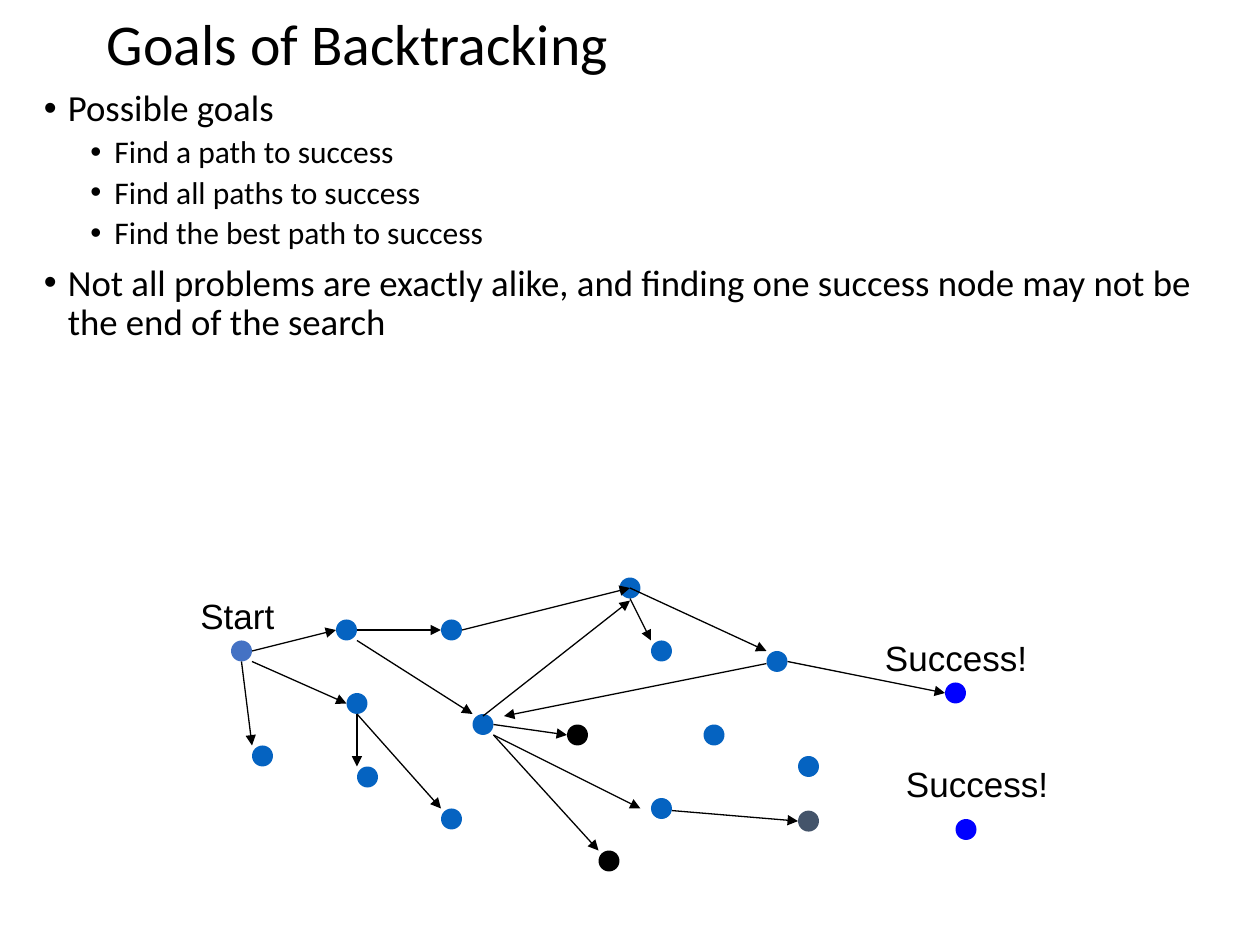
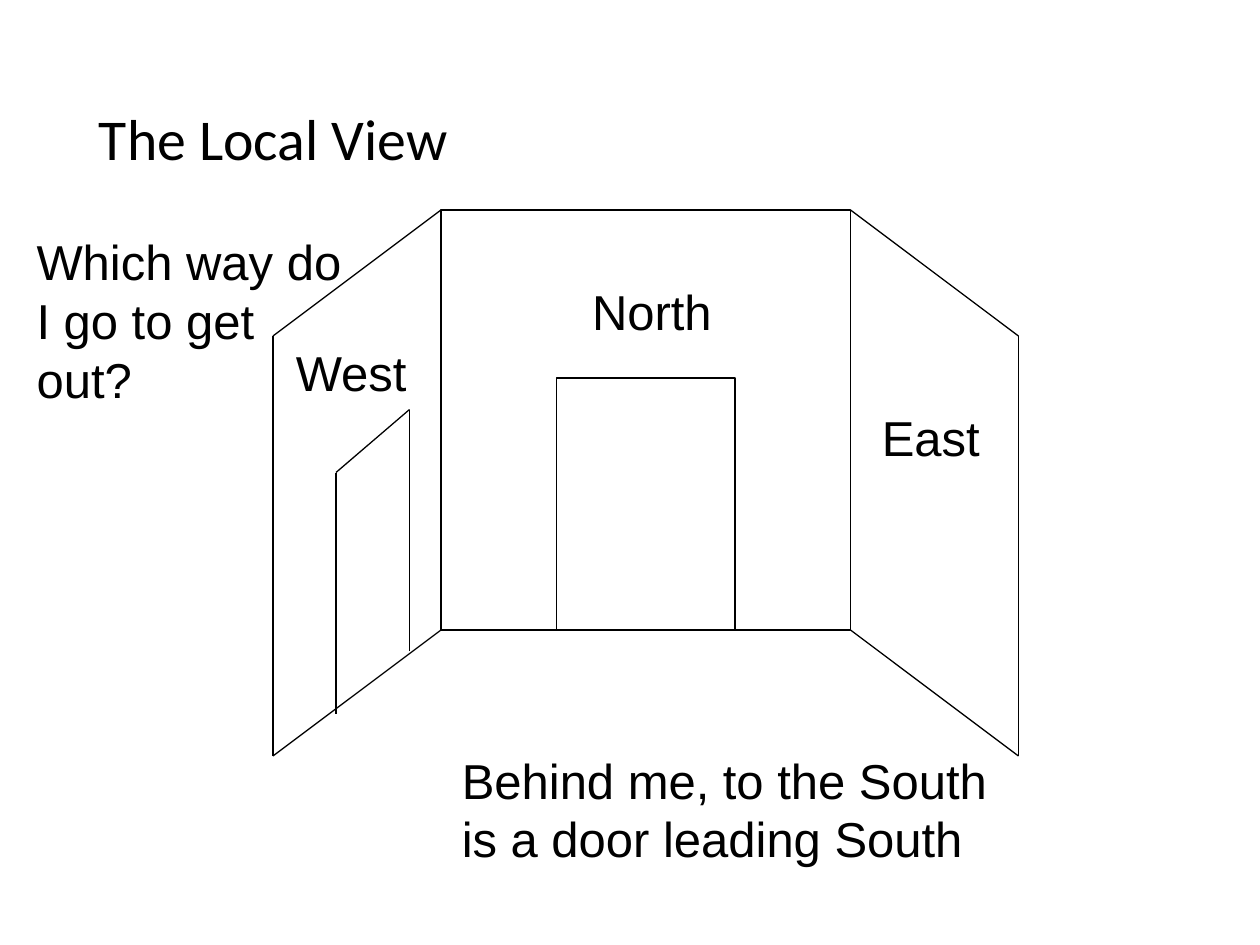
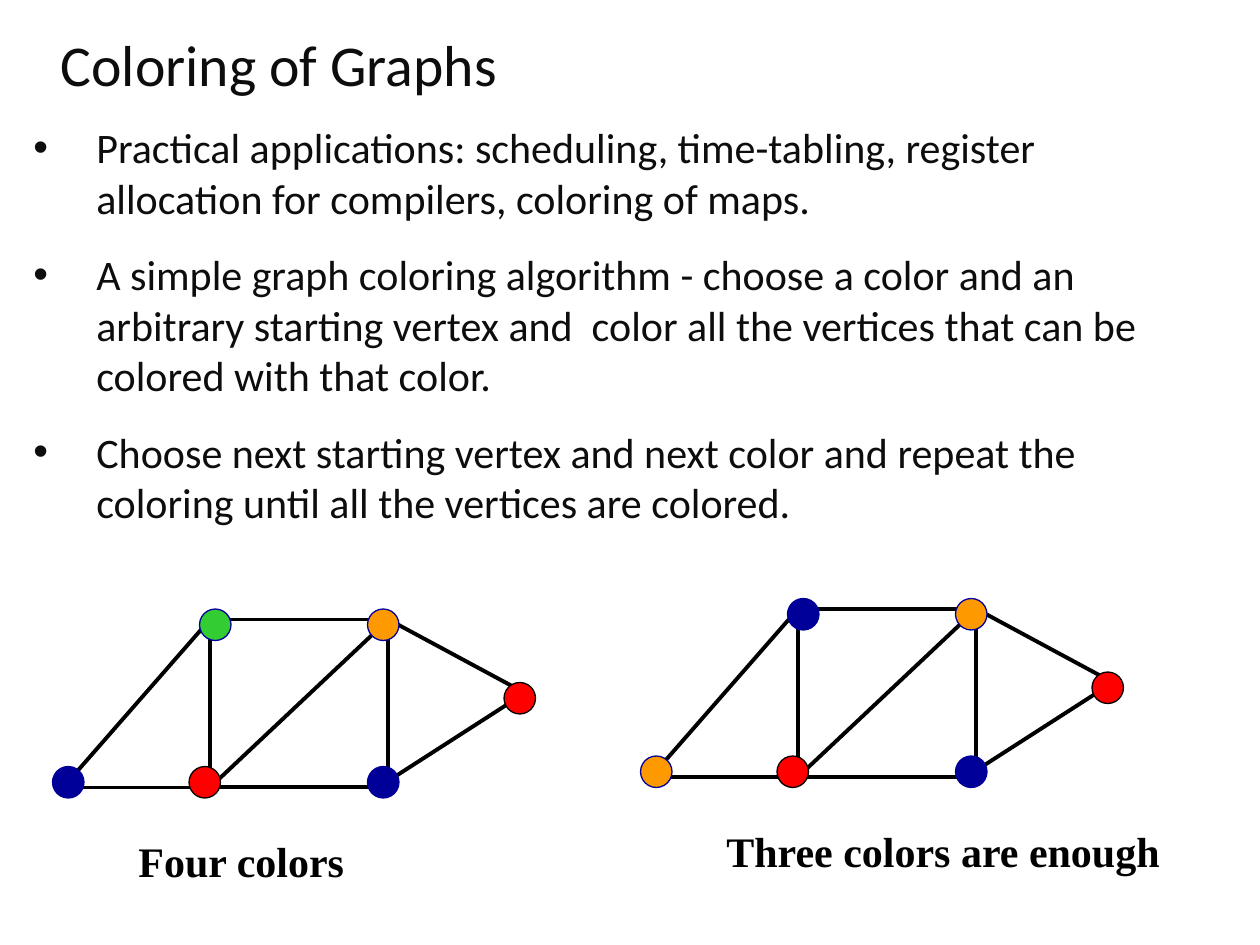
from dataclasses import dataclass
from itertools import pairwise
from typing import NamedTuple

from lxml import etree
from pptx import Presentation
from pptx import util as u
from pptx.dml.color import RGBColor
from pptx.enum import shapes, text
from pptx.oxml import ns

CELL = u.Inches(1) / 12
COLUMNS, ROWS = 120, 90

BLACK = "000000"
INK = "0D0D0D"
START = "4472C4"
NODE = "0563C1"
SLATE = "44546A"
SUCCESS = "0000FF"
RED = "FF0000"
NAVY = "000099"
GREEN = "33CC33"
ORANGE = "FF9900"


class Point(NamedTuple):
    column: float
    row: float


class Frame(NamedTuple):
    column: float
    row: float
    columns: float
    rows: float


@dataclass(frozen=True)
class TextStyle:
    font: str
    size: float
    color: str = BLACK
    bold: bool = False
    line_spacing: float | None = None
    space_before: float = 0
    hanging: float = 0
    indent: float = 0
    level: int = 0


@dataclass(frozen=True)
class Dot:
    column: float
    row: float
    fill: str = NODE
    line: str | None = None


@dataclass(frozen=True)
class Coloring:
    origin: Point
    fills: tuple[str, ...]
    caption: str
    caption_columns: float


TITLE = TextStyle("Calibri", 33, line_spacing=0.9)
INK_TITLE = TextStyle("Calibri", 33, INK, line_spacing=0.9)
GOAL = TextStyle("Calibri", 21, line_spacing=0.9, space_before=7.5, hanging=0.19, indent=0.19)
SUBGOAL = TextStyle("Calibri", 18, line_spacing=0.9, space_before=3.7, hanging=0.19, indent=0.56, level=1)
STEP = TextStyle("Calibri", 24, INK, space_before=15, hanging=0.5, indent=0.5)
NODE_LABEL = TextStyle("Arial", 20)
WALL_LABEL = TextStyle("Arial", 28)
CAPTION = TextStyle("Times New Roman", 24, bold=True)

SEARCH_DOTS = (
    Dot(22, 61, START), Dot(24, 71), Dot(33, 66), Dot(45, 68), Dot(42, 59),
    Dot(32, 59), Dot(34, 73), Dot(59, 55), Dot(62, 76), Dot(62, 61), Dot(67, 69),
    Dot(57, 81, BLACK), Dot(42, 77), Dot(54, 69, BLACK), Dot(76, 77.2, SLATE),
    Dot(90, 65, SUCCESS), Dot(76, 72), Dot(73, 62), Dot(91, 78, SUCCESS),
)
SEARCH_ARROWS = (
    (Point(24, 62), Point(32, 60)), (Point(24, 63), Point(33, 67)),
    (Point(23, 63), Point(24, 71)), (Point(34, 60), Point(42, 60)),
    (Point(34, 61), Point(45, 68)), (Point(34, 68), Point(34, 73)),
    (Point(34, 68), Point(42, 77)), (Point(47, 70), Point(61, 77)),
    (Point(47, 70), Point(57, 81)), (Point(64, 77.2), Point(76, 78.2)),
    (Point(47, 69), Point(54, 70)), (Point(44, 60), Point(60, 56)),
    (Point(60, 57), Point(62, 61)), (Point(60, 56), Point(73, 62)),
    (Point(75, 63), Point(90, 66)), (Point(46, 68.2), Point(60, 57.2)),
    (Point(73, 63.2), Point(48, 68.2)),
)
EAST_WALL = (Point(81, 20), Point(97, 32), Point(97, 72), Point(81, 60))
WEST_WALL = (Point(42, 20), Point(26, 32), Point(26, 72), Point(42, 60))
WEST_DOOR = (Point(32, 68), Point(32, 45), Point(39, 39), Point(39, 62))

VERTICES = (Point(13, 15), Point(43, 7), Point(30, 15), Point(0, 15), Point(14, 0), Point(30, 0))
EDGE_CHAINS = (
    (Point(15, 17), Point(32, 1), Point(45, 8), Point(31, 17)),
    (Point(15, 17), Point(1, 17), Point(15, 1)),
)
COLORINGS = (
    Coloring(Point(5, 58), (RED, RED, NAVY, NAVY, GREEN, ORANGE), "Four colors", 22),
    Coloring(Point(61, 57), (RED, RED, NAVY, ORANGE, NAVY, ORANGE), "Three colors are enough", 43.8),
)


def rgb(value: str) -> RGBColor:
    return RGBColor.from_string(value)


def cells(*counts: float) -> list[int]:
    return [round(count * CELL) for count in counts]


def style_paragraph(para, style: TextStyle) -> None:
    font = para.font
    font.name, font.size, font.bold = style.font, u.Pt(style.size), style.bold
    font.color.rgb = rgb(style.color)
    para.level = style.level
    para.space_before = u.Pt(style.space_before)
    if style.line_spacing:
        para.line_spacing = style.line_spacing
    if style.hanging:
        properties = para._p.get_or_add_pPr()
        properties.set("marL", str(u.Inches(style.indent)))
        properties.set("indent", str(-u.Inches(style.hanging)))
        bullet_color = etree.SubElement(properties, ns.qn("a:buClr"))
        etree.SubElement(bullet_color, ns.qn("a:srgbClr"), val=style.color)
        etree.SubElement(properties, ns.qn("a:buFont"), typeface="Arial")
        etree.SubElement(properties, ns.qn("a:buChar"), char="•")


def add_text(page, frame: Frame, words: str, *styles: TextStyle, wrap: bool = True, middle: bool = False) -> None:
    box = page.shapes.add_textbox(*cells(*frame))
    body = box.text_frame
    body.text = words
    body.word_wrap = wrap
    body.auto_size = text.MSO_AUTO_SIZE.NONE if wrap else text.MSO_AUTO_SIZE.SHAPE_TO_FIT_TEXT
    body.vertical_anchor = text.MSO_ANCHOR.MIDDLE if middle else text.MSO_ANCHOR.TOP
    for index, para in enumerate(body.paragraphs):
        style_paragraph(para, styles[index % len(styles)])


def add_title(page, frame: Frame, words: str, style: TextStyle = TITLE) -> None:
    add_text(page, frame, words, style, middle=True)


def add_label(page, frame: Frame, words: str, style: TextStyle) -> None:
    add_text(page, frame, words, style, wrap=False)


def add_dot(page, dot: Dot, size: float) -> None:
    circle = page.shapes.add_shape(shapes.MSO_SHAPE.OVAL, *cells(dot.column, dot.row, size, size))
    circle.shadow.inherit = False
    circle.fill.solid()
    circle.fill.fore_color.rgb = rgb(dot.fill)
    if dot.line:
        circle.line.color.rgb = rgb(dot.line)
        circle.line.width = u.Pt(0.75)
    else:
        circle.line.fill.background()


def add_outline(page, frame: Frame, width: float) -> None:
    outline = page.shapes.add_shape(shapes.MSO_SHAPE.RECTANGLE, *cells(*frame))
    outline.shadow.inherit = False
    outline.fill.background()
    outline.line.color.rgb = rgb(BLACK)
    outline.line.width = u.Pt(width)


def add_chain(page, points: tuple[Point, ...], width: float = 0.75, arrow: bool = False) -> None:
    for start, end in pairwise(points):
        line = page.shapes.add_connector(shapes.MSO_CONNECTOR.STRAIGHT, *cells(*start, *end))
        line.line.color.rgb = rgb(BLACK)
        line.line.width = u.Pt(width)
        properties = line.element.spPr
        if arrow:
            etree.SubElement(properties.find(ns.qn("a:ln")), ns.qn("a:tailEnd"), type="triangle")
        etree.SubElement(properties, ns.qn("a:effectLst"))


def draw_goals(page) -> None:
    add_title(page, Frame(9, -3, 102, 15), "Goals of Backtracking")
    goals = (
        "Possible goals\n"
        "Find a path to success\n"
        "Find all paths to success\n"
        "Find the best path to success\n"
        "Not all problems are exactly alike, and finding one success node may not be the end of the search"
    )
    add_text(page, Frame(3, 8, 114, 72), goals, GOAL, SUBGOAL, SUBGOAL, SUBGOAL, GOAL)
    for dot in SEARCH_DOTS:
        add_dot(page, dot, 2)
    add_label(page, Frame(17.9, 56, 9.5, 5.25), "Start", NODE_LABEL)
    for corner in (Point(83.1, 60), Point(85.1, 72)):
        add_label(page, Frame(*corner, 16, 5.25), "Success!", NODE_LABEL)
    for arrow in SEARCH_ARROWS:
        add_chain(page, arrow, arrow=True)


def draw_local_view(page) -> None:
    add_title(page, Frame(8.25, 4.8, 103.5, 17.4), "The Local View")
    for frame in (Frame(42, 20, 39, 40), Frame(53, 36, 17, 24)):
        add_outline(page, frame, 0.75)
    for chain in (EAST_WALL, WEST_WALL, WEST_DOOR):
        add_chain(page, chain)
    for frame, words in (
        (Frame(55.2, 26.2, 13.8, 6.8), "North"),
        (Frame(82.8, 38.2, 12, 6.8), "East"),
        (Frame(27, 32, 13, 6.8), "West"),
        (Frame(42.8, 70.85, 53.7, 12.5), "Behind me, to the South\nis a door leading South"),
        (Frame(2.3, 21.5, 32, 18), "Which way do\vI go to get\nout?"),
    ):
        add_label(page, frame, words, WALL_LABEL)


def draw_coloring(page, coloring: Coloring) -> None:
    left, top = coloring.origin
    add_outline(page, Frame(left + 15, top + 1, 17, 16), 2.25)
    for chain in EDGE_CHAINS:
        add_chain(page, tuple(Point(left + column, top + row) for column, row in chain), 2.25)
    for vertex, fill in zip(VERTICES, coloring.fills):
        border = BLACK if fill == RED else NAVY
        add_dot(page, Dot(left + vertex.column, top + vertex.row, fill, border), 3)
    add_label(page, Frame(left + 7, top + 21, coloring.caption_columns, 6), coloring.caption, CAPTION)


def draw_graphs(page) -> None:
    add_title(page, Frame(4.6, 2.9, 62.6, 7.2), "Coloring of Graphs", INK_TITLE)
    steps = (
        "Practical applications: scheduling, time-tabling, register allocation for compilers, coloring of maps.\n"
        "A simple graph coloring algorithm - choose a color and an arbitrary starting vertex and  color all "
        "the vertices that can be colored with that color.\n"
        "Choose next starting vertex and next color and repeat the coloring until all the vertices are colored."
    )
    add_text(page, Frame(2, 11, 114, 39.8), steps, STEP)
    for coloring in COLORINGS:
        draw_coloring(page, coloring)


def main() -> None:
    deck = Presentation()
    deck.slide_width, deck.slide_height = cells(COLUMNS, ROWS)
    for draw in (draw_goals, draw_local_view, draw_graphs):
        draw(deck.slides.add_slide(deck.slide_layouts[6]))
    deck.save("out.pptx")


if __name__ == "__main__":
    main()
